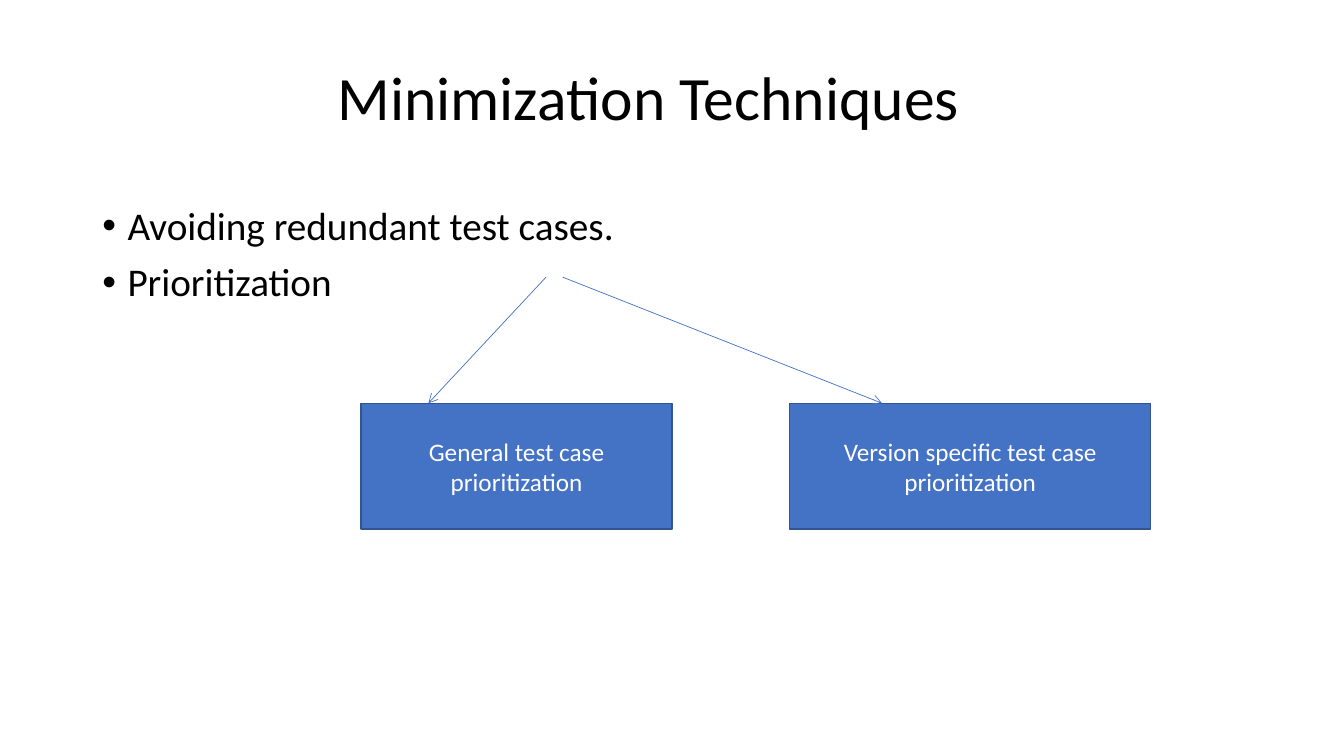
import pptx
import pptx.util
import pptx.dml.color
import pptx.enum.shapes
import pptx.enum.text
import pptx.oxml
import pptx.oxml.ns
from lxml import etree

COLORS = {"ink": "000000", "box": "4472C4", "edge": "325491", "label": "FFFFFF"}
FONT = "Calibri"
COLUMNS, ROWS = 160, 90
ANCHOR = pptx.enum.text.MSO_ANCHOR
ALIGN = pptx.enum.text.PP_ALIGN

deck = pptx.Presentation()
deck.slide_width = pptx.util.Inches(13.33)
deck.slide_height = pptx.util.Inches(7.5)
slide = deck.slides.add_slide(deck.slide_layouts[6])


def grid(*cells):
    """Turn alternating columns and rows into slide lengths."""
    steps = (deck.slide_width / COLUMNS, deck.slide_height / ROWS)
    return [round(cell * steps[i % 2]) for i, cell in enumerate(cells)]


def apply(target, formats):
    for name, value in formats.items():
        setattr(target, name, value)


def rgb(role):
    return pptx.dml.color.RGBColor.from_string(COLORS[role])


def write(frame, lines, size, role, anchor, paragraph_format):
    apply(frame, {"word_wrap": True, "vertical_anchor": anchor})
    for i, line in enumerate(lines):
        paragraph = frame.paragraphs[0] if i == 0 else frame.add_paragraph()
        apply(paragraph, paragraph_format)
        run = paragraph.add_run()
        run.text = line
        apply(run.font, {"name": FONT, "size": pptx.util.Pt(size)})
        run.font.color.rgb = rgb(role)
    return frame.paragraphs


def heading(box, text):
    frame = slide.shapes.add_textbox(*grid(*box)).text_frame
    write(frame, [text], 44, "ink", ANCHOR.MIDDLE, {"line_spacing": 0.9})


def bullet_list(box, points):
    frame = slide.shapes.add_textbox(*grid(*box)).text_frame
    spacing = {"line_spacing": 0.9, "space_before": pptx.util.Pt(10)}
    indent = pptx.util.Inches(0.25)
    for point in write(frame, points, 28, "ink", ANCHOR.TOP, spacing):
        properties = point._p.get_or_add_pPr()
        properties.set("marL", str(indent))
        properties.set("indent", str(-indent))
        for tag, key, value in (("a:buFont", "typeface", "Arial"), ("a:buChar", "char", "•")):
            etree.SubElement(properties, pptx.oxml.ns.qn(tag)).set(key, value)


def branch_arrow(start, end):
    arrow = slide.shapes.add_connector(
        pptx.enum.shapes.MSO_CONNECTOR.STRAIGHT, *grid(*start, *end))
    arrow.line.color.rgb = rgb("box")
    arrow.line.width = pptx.util.Pt(0.5)
    head = etree.SubElement(arrow.line._get_or_add_ln(), pptx.oxml.ns.qn("a:tailEnd"))
    head.set("type", "arrow")
    etree.SubElement(arrow._element.spPr, pptx.oxml.ns.qn("a:effectLst"))


def prioritization_tree(box, branches):
    left, top, _, height = box
    kind_height = height / 2
    kind_top = top + height - kind_height
    # Kinds of prioritization
    for label, offset, width, _, _ in branches:
        kind = slide.shapes.add_shape(
            pptx.enum.shapes.MSO_SHAPE.RECTANGLE,
            *grid(left + offset, kind_top, width, kind_height))
        kind.shadow.inherit = False
        kind.fill.solid()
        kind.fill.fore_color.rgb = rgb("box")
        kind.line.color.rgb = rgb("edge")
        kind.line.width = pptx.util.Pt(1)
        write(kind.text_frame, [label], 18, "label", ANCHOR.MIDDLE,
              {"alignment": ALIGN.CENTER})
    # Arrows down to each kind
    for _, _, _, start, end in branches:
        branch_arrow((left + start, top), (left + end, kind_top))


# Boxes are left, top, width, height in columns and rows
heading((39, 4, 98, 16), "Minimization Techniques")
bullet_list((11, 24, 138, 57), ["Avoiding redundant test cases.", "Prioritization"])
# Each branch: label, box offset, box width, arrow start, arrow end
prioritization_tree((43, 33, 94, 30), [
    ("General test case prioritization", 0, 37, 22, 8),
    ("Version specific test case prioritization", 51, 43, 24, 62),
])

deck.save("out.pptx")
